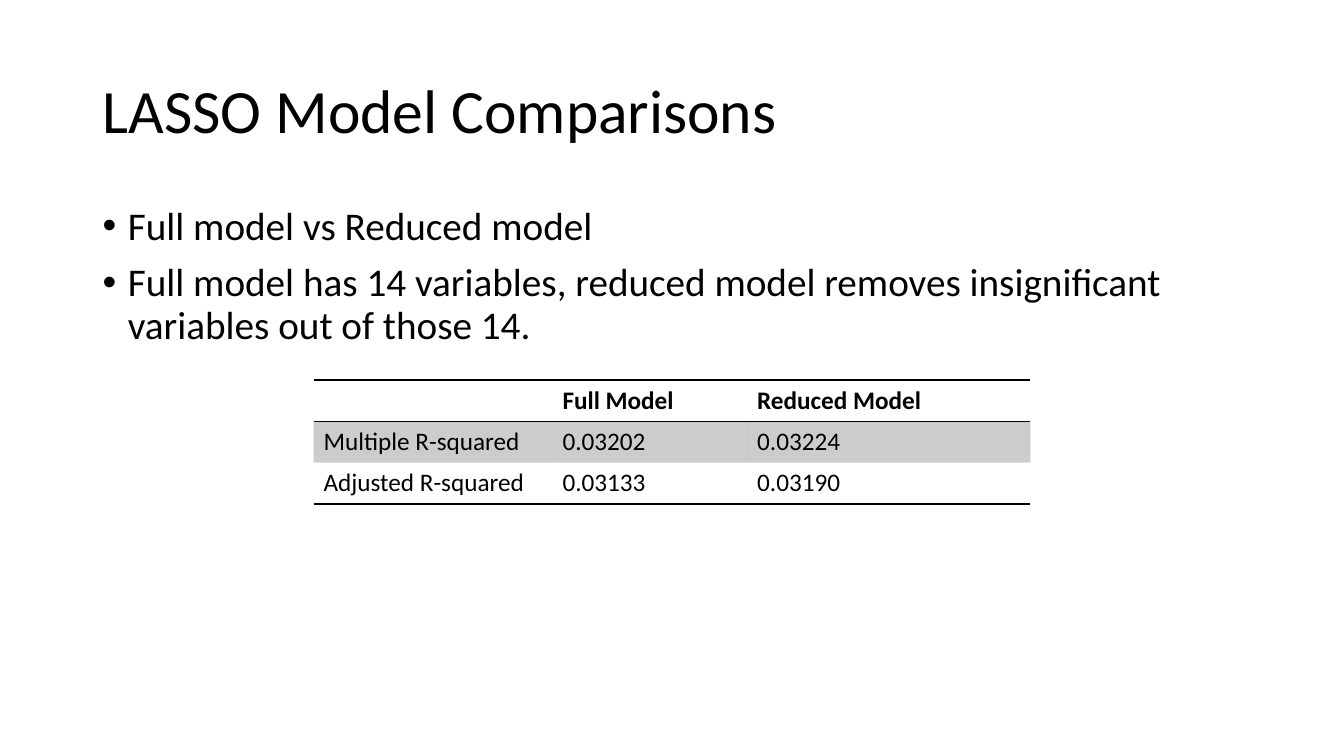
from dataclasses import dataclass

from lxml import etree
from pptx import Presentation
from pptx.dml.color import RGBColor
from pptx.enum.text import MSO_ANCHOR
from pptx.oxml.ns import qn
from pptx.util import Inches, Pt

MIDDLE = MSO_ANCHOR.MIDDLE


@dataclass(frozen=True)
class Theme:
    font: str = "Calibri"
    ink: RGBColor = RGBColor(0, 0, 0)
    band_opacity: int = 20
    title_size: int = 44
    body_size: int = 28
    table_size: int = 18
    rule_width: int = 1


theme = Theme()


def style(paragraph, size, bold=False):
    font = paragraph.font
    font.name = theme.font
    font.size = Pt(size)
    font.bold = bold
    font.color.rgb = theme.ink


def set_borders(cell, ruled_sides):
    """Rule the named sides (T, B) and clear the others."""
    properties = cell._tc.get_or_add_tcPr()
    for index, side in enumerate("LRTB"):
        line = etree.Element(qn(f"a:ln{side}"))
        properties.insert(index, line)
        if side in ruled_sides:
            line.set("w", str(Pt(theme.rule_width)))
            fill = etree.SubElement(line, qn("a:solidFill"))
            etree.SubElement(fill, qn("a:srgbClr"), val=str(theme.ink))
        else:
            line.set("w", "0")
            etree.SubElement(line, qn("a:noFill"))


deck = Presentation()
deck.slide_width = Inches(13.33)
deck.slide_height = Inches(7.5)
page = deck.slides.add_slide(deck.slide_layouts[6])

# Title
title_box = page.shapes.add_textbox(Inches(0.92), Inches(0.4), Inches(11.5), Inches(1.45))
title_box.text_frame.word_wrap = True
title_box.text_frame.vertical_anchor = MIDDLE
title = title_box.text_frame.paragraphs[0]
title.text = "LASSO Model Comparisons"
title.line_spacing = 0.9
style(title, theme.title_size)

# Bullet points
points = [
    "Full model vs Reduced model",
    "Full model has 14 variables, reduced model removes insignificant variables out of those 14.",
]
body_box = page.shapes.add_textbox(Inches(0.92), Inches(2), Inches(11.5), Inches(4.76))
body = body_box.text_frame
body.word_wrap = True
for index, point in enumerate(points):
    para = body.paragraphs[0] if index == 0 else body.add_paragraph()
    para.text = point
    para.line_spacing = 0.9
    para.space_before = Pt(10)
    properties = para._p.get_or_add_pPr()
    properties.set("marL", str(Inches(0.25)))
    properties.set("indent", str(-Inches(0.25)))
    etree.SubElement(properties, qn("a:buFont"), typeface="Arial")
    etree.SubElement(properties, qn("a:buChar"), char="•")
    style(para, theme.body_size)

# Comparison table: header, shaded band, plain row
rows = [
    ("", "Full Model", "Reduced Model"),
    ("Multiple R-squared", "0.03202", "0.03224"),
    ("Adjusted R-squared", "0.03133", "0.03190"),
]
row_rules = ["TB", "T", "B"]
column_widths = [2.37, 1.93, 2.81]
row_height = 0.41
frame = page.shapes.add_table(
    len(rows), len(column_widths), Inches(3.11), Inches(3.77),
    Inches(sum(column_widths)), Inches(row_height * len(rows)))
table = frame.table
table.first_row = False
table.horz_banding = False
for column, width in zip(table.columns, column_widths):
    column.width = Inches(width)
for row_index, values in enumerate(rows):
    table.rows[row_index].height = Inches(row_height)
    for column_index, value in enumerate(values):
        cell = table.cell(row_index, column_index)
        cell.text = value
        style(cell.text_frame.paragraphs[0], theme.table_size, bold=row_index == 0)
        if row_index == 1:
            cell.fill.solid()
            cell.fill.fore_color.rgb = theme.ink
            color = cell._tc.tcPr.find(".//" + qn("a:srgbClr"))
            etree.SubElement(color, qn("a:alpha"), val=str(theme.band_opacity * 1000))
        else:
            cell.fill.background()
        set_borders(cell, row_rules[row_index])

deck.save("out.pptx")
